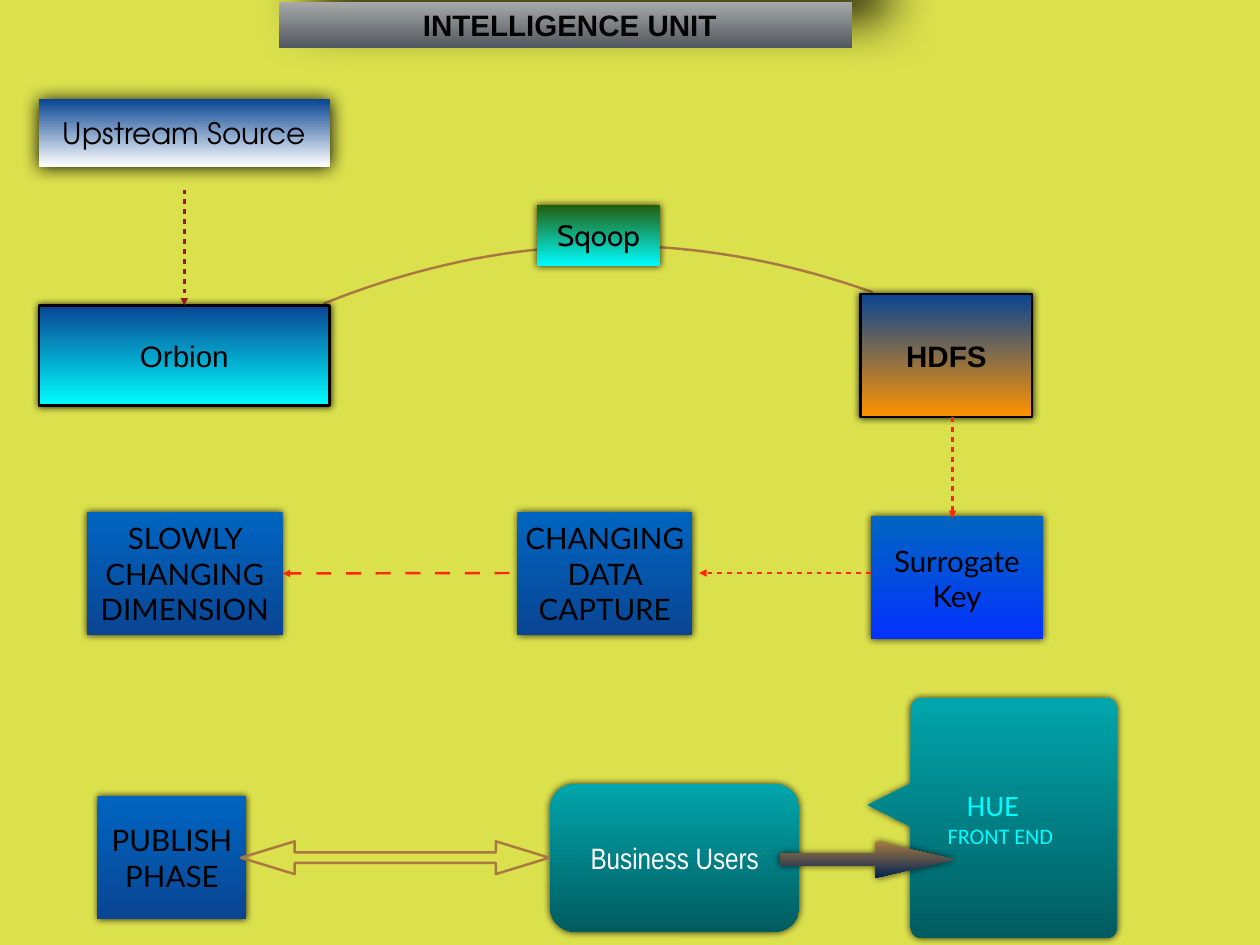
import math
from dataclasses import dataclass
from lxml import etree
from pptx import Presentation, util as u
from pptx.dml.color import RGBColor
from pptx.enum import shapes, text
from pptx.oxml import ns


@dataclass(frozen=True)
class Theme:
    page: str = "DBE04D"
    ink: str = "000000"
    title_ink: str = "030303"
    white: str = "FFFFFF"
    cyan: str = "00FDFF"
    brown: str = "AA7942"
    maroon: str = "971818"
    red: str = "FF2600"
    title: tuple = ("A6AAA8", "52575F")
    upstream: tuple = ("094593", "FFFFFF")
    database: tuple = ("094593", "00FDFF")
    hdfs: tuple = ("094593", "FF9300")
    sqoop: tuple = ("235D0B", "00FDFF")
    key: tuple = ("0065C1", "0433FF")
    step: tuple = ("0065C1", "094593")
    teal: tuple = ("00A6AC", "005C60")
    arrow: tuple = ("AA7942", "002452")
    size: int = 24
    small: int = 18
    line: int = 2


theme = Theme()
soft_shadow = (80, 6, 0, 315)
grid = 1000
grid_scale = u.Inches(1) / grid


def paint(shape, colours=None, outline=None, shadow=None):
    if colours:
        shape.fill.gradient()
        shape.fill.gradient_angle = 270
        for stop, colour in zip(shape.fill.gradient_stops, colours):
            stop.color.rgb = RGBColor.from_string(colour)
    else:
        shape.fill.background()
    if outline:
        shape.line.color.rgb = RGBColor.from_string(outline)
        shape.line.width = u.Pt(theme.line)
    else:
        shape.line.fill.background()
    shape.shadow.inherit = False
    if shadow:
        alpha, blur, distance, angle = shadow
        effects = shape.element.spPr.find(ns.qn("a:effectLst"))
        outer = etree.SubElement(effects, ns.qn("a:outerShdw"), blurRad=str(u.Pt(blur)),
                                 dist=str(u.Pt(distance)), dir=str(angle * 60000),
                                 algn="ctr", rotWithShape="0")
        tint = etree.SubElement(outer, ns.qn("a:srgbClr"), val=theme.ink)
        etree.SubElement(tint, ns.qn("a:alpha"), val=str(alpha * 1000))


def write(shape, lines, font, colour, bold=False, anchor=text.MSO_ANCHOR.MIDDLE):
    frame = shape.text_frame
    frame.word_wrap = True
    frame.vertical_anchor = anchor
    frame.margin_left = frame.margin_right = u.Inches(0.06)
    frame.margin_top = frame.margin_bottom = u.Inches(0.06)
    for index, (words, size, indent) in enumerate(lines):
        para = frame.add_paragraph() if index else frame.paragraphs[0]
        para.alignment = text.PP_ALIGN.CENTER
        if indent:
            para._p.get_or_add_pPr().set("marL", str(u.Inches(indent)))
        span = para.add_run()
        span.text = words
        span.font.name = font
        span.font.size = u.Pt(size)
        span.font.bold = bold
        span.font.color.rgb = RGBColor.from_string(colour)


deck = Presentation()
deck.slide_width = u.Inches(14.22)
deck.slide_height = u.Inches(10.67)
page = deck.slides.add_slide(deck.slide_layouts[6])
page.background.fill.solid()
page.background.fill.fore_color.rgb = RGBColor.from_string(theme.page)

bend = [(3.65, 3.43), (5.7, 2.6), (7.77, 2.56), (9.85, 3.3)]
steps = 40
arc_points = []
for step in range(steps + 1):
    t = step / steps
    weights = [math.comb(3, i) * t ** i * (1 - t) ** (3 - i) for i in range(4)]
    arc_points.append(tuple(grid * sum(w * point[axis] for w, point in zip(weights, bend))
                            for axis in (0, 1)))
builder = page.shapes.build_freeform(*arc_points[0], scale=grid_scale)
builder.add_line_segments(arc_points[1:], close=False)
paint(builder.convert_to_shape(), outline=theme.brown)

title = page.shapes.add_shape(shapes.MSO_SHAPE.RECTANGLE, u.Inches(3.15), u.Inches(0.02),
                              u.Inches(6.47), u.Inches(0.52))
paint(title, theme.title, shadow=(100, 43, 37.1, 315))
write(title, [("INTELLIGENCE UNIT", theme.size, 0.09)], "Arial", theme.title_ink, True,
      text.MSO_ANCHOR.TOP)

upstream = page.shapes.add_shape(shapes.MSO_SHAPE.RECTANGLE, u.Inches(0.44), u.Inches(1.12),
                                 u.Inches(3.28), u.Inches(0.76))
paint(upstream, theme.upstream, shadow=(100, 15, 0.7, 90))
write(upstream, [("Upstream Source", theme.size, 0)], "TeX Gyre Adventor", theme.ink)

stages = [
    ("Orbion", (0.44, 3.45, 3.28, 1.13), theme.database, theme.ink, "Arial", False),
    ("HDFS", (9.71, 3.32, 1.94, 1.39), theme.hdfs, theme.ink, "Arial", True),
    ("Sqoop", (6.06, 2.31, 1.39, 0.69), theme.sqoop, None, "Cabin", False),
    ("Surrogate Key", (9.83, 5.83, 1.94, 1.39), theme.key, None, "Lato", False),
    ("CHANGING DATA CAPTURE", (5.84, 5.78, 1.97, 1.39), theme.step, None, "Lato", False),
    ("SLOWLY CHANGING DIMENSION", (0.98, 5.78, 2.21, 1.39), theme.step, None, "Lato", False),
    ("PUBLISH PHASE", (1.1, 8.99, 1.68, 1.39), theme.step, None, "Lato", False),
]
boxes = {}
for label, place, colours, outline, font, bold in stages:
    box = page.shapes.add_shape(shapes.MSO_SHAPE.RECTANGLE, *map(u.Inches, place))
    paint(box, colours, outline, soft_shadow)
    write(box, [(label, theme.size, 0)], font, theme.ink, bold)
    boxes[label] = box

flows = [
    ((2.08, 2.14), (2.08, 3.45), theme.maroon, 2, ("Orbion", 0)),
    ((9.83, 6.47), (7.89, 6.47), theme.red, 2, None),
    ((10.75, 4.71), (10.75, 5.85), theme.red, 2, None),
    ((5.75, 6.47), (3.19, 6.47), theme.red, 6, ("SLOWLY CHANGING DIMENSION", 3)),
]
for start, end, colour, dash, target in flows:
    flow = page.shapes.add_connector(shapes.MSO_CONNECTOR.STRAIGHT,
                                     *map(u.Inches, start + end))
    if target:
        label, side = target
        flow.end_connect(boxes[label], side)
    flow.line.color.rgb = RGBColor.from_string(colour)
    flow.line.width = u.Pt(theme.line)
    stroke = flow.line._get_or_add_ln()
    pattern = etree.SubElement(stroke, ns.qn("a:custDash"))
    etree.SubElement(pattern, ns.qn("a:ds"), d=str(dash * 100000), sp=str(dash * 100000))
    etree.SubElement(stroke, ns.qn("a:tailEnd"), type="triangle")
    etree.SubElement(flow.element.spPr, ns.qn("a:effectLst"))

users = page.shapes.add_shape(shapes.MSO_SHAPE.ROUNDED_RECTANGLE, u.Inches(6.21),
                              u.Inches(8.85), u.Inches(2.81), u.Inches(1.67))
users.adjustments[0] = 0.167
paint(users, theme.teal, shadow=soft_shadow)
write(users, [("Business Users", theme.size, 0)], "Arial Narrow", theme.white)

left, top, right, bottom, radius = 10.28, 7.88, 12.61, 10.59, 0.12
corners = [(left + radius, top + radius, 180), (right - radius, top + radius, 270),
           (right - radius, bottom - radius, 0), (left + radius, bottom - radius, 90)]
callout_points = [(x + radius * math.cos(math.radians(start + turn)),
                   y + radius * math.sin(math.radians(start + turn)))
                  for x, y, start in corners for turn in range(0, 91, 15)]
callout_points += [(left, 9.33), (9.8, 9.09), (left, 8.85)]
callout_points = [(grid * x, grid * y) for x, y in callout_points]
builder = page.shapes.build_freeform(*callout_points[0], scale=grid_scale)
builder.add_line_segments(callout_points[1:], close=True)
callout = builder.convert_to_shape()
paint(callout, theme.teal, shadow=soft_shadow)
write(callout, [("HUE", theme.size, 0), ("FRONT END", theme.small, 0.17)],
      "Calibri", theme.cyan)

arrows = [
    (shapes.MSO_SHAPE.LEFT_RIGHT_ARROW, (2.72, 9.5, 3.48, 0.37), (0.32, 1.633),
     None, theme.brown, None),
    (shapes.MSO_SHAPE.RIGHT_ARROW, (8.8, 9.5, 1.97, 0.41), (0.32, 2.158),
     theme.arrow, None, soft_shadow),
]
for kind, place, proportions, colours, outline, shadow in arrows:
    arrow = page.shapes.add_shape(kind, *map(u.Inches, place))
    for index, value in enumerate(proportions):
        arrow.adjustments[index] = value
    paint(arrow, colours, outline, shadow)

deck.save("out.pptx")
